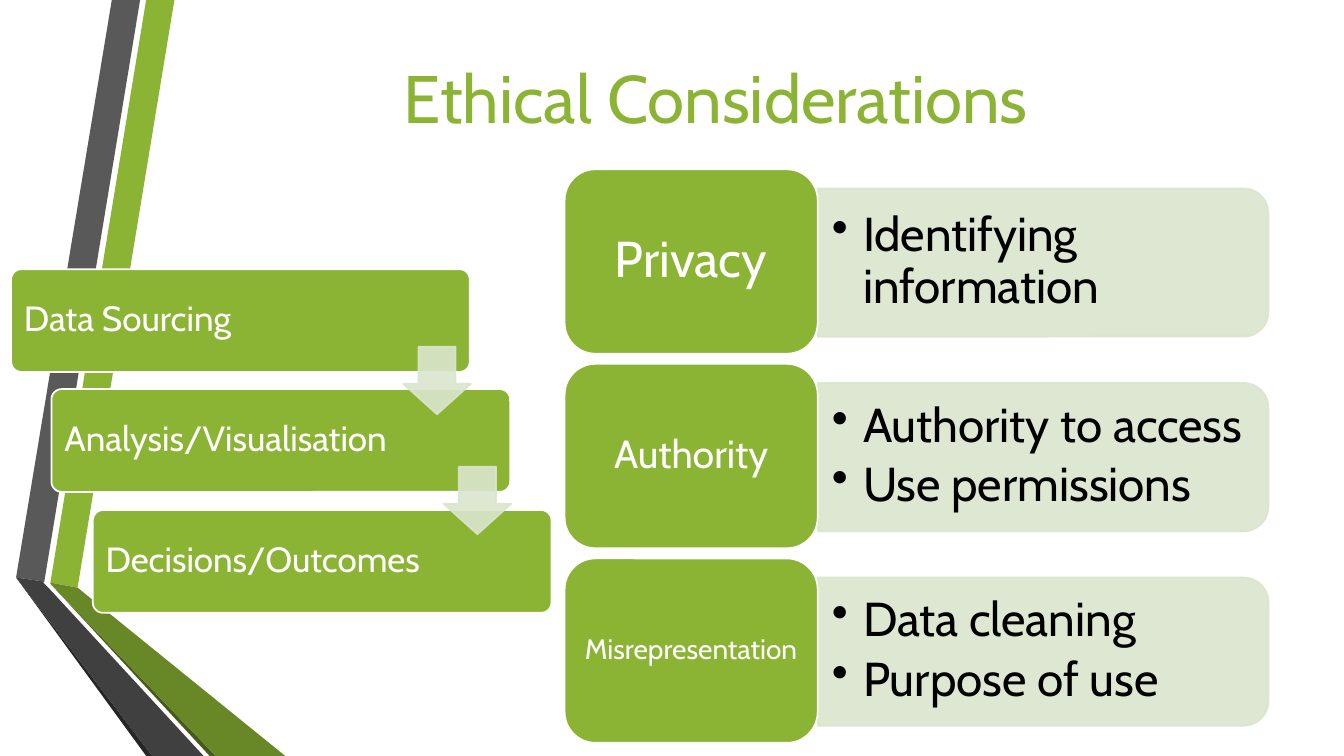
"""Build the slide "Ethical Considerations" with its process steps and topics."""
from dataclasses import dataclass

from lxml.etree import SubElement
from pptx import Presentation
from pptx.dml.color import RGBColor
from pptx.enum.shapes import MSO_SHAPE as Preset
from pptx.enum.text import MSO_ANCHOR as Anchor, PP_ALIGN as Align
from pptx.oxml.ns import qn
from pptx.shapes.autoshape import Shape
from pptx.shapes.shapetree import SlideShapes
from pptx.util import Emu, Pt

PX = 9144
FONT = "Cabin"
GREEN, PALE, WHITE, BLACK = "8BB434", "DAE5CE", "FFFFFF", "000000"


@dataclass(frozen=True)
class Box:
    """A rectangle in px."""
    left: int
    top: int
    width: int
    height: int

    def emu(self) -> tuple[Emu, ...]:
        """Return left, top, width and height in EMU."""
        return tuple(px(n) for n in (self.left, self.top, self.width, self.height))


@dataclass(frozen=True)
class Ribbon:
    """One facet of the folded ribbon at the left edge."""
    color: str
    points: tuple[tuple[int, int], ...]


@dataclass(frozen=True)
class Topic:
    """An ethical topic with its details."""
    name: str
    size: int
    inset: int
    details: tuple[str, ...]


@dataclass(frozen=True)
class TextStyle:
    """The look of a block of text."""
    size: int
    color: str
    align: Align = Align.LEFT
    inset: tuple[int, int] = (10, 5)
    spacing: float = 0.9
    bullet: bool = False


RIBBONS = (
    Ribbon(GREEN, ((50, 578), (77, 583), (173, 0), (145, 0))),
    Ribbon("595959", ((139, 0), (111, 0), (16, 573), (44, 577))),
    Ribbon("262626", ((16, 573), (145, 750), (151, 750))),
    Ribbon("465A1A", ((50, 579), (208, 750), (214, 750))),
    Ribbon("688727", ((50, 579), (214, 750), (283, 750), (77, 583), (50, 578))),
    Ribbon("404040", ((202, 750), (48, 583), (43, 578), (44, 577), (16, 573), (151, 750))),
)
STEPS = ("Data Sourcing", "Analysis/Visualisation", "Decisions/Outcomes")
TOPICS = (
    Topic("Privacy", 36, 15, ("Identifying information",)),
    Topic("Authority", 28, 12, ("Authority to access", "Use permissions")),
    Topic("Misrepresentation", 20, 8, ("Data cleaning", "Purpose of use")),
)


def px(length: int) -> Emu:
    """Turn px into EMU."""
    return Emu(length * PX)


def rgb(color: str) -> RGBColor:
    """Turn a hex string into a colour."""
    return RGBColor.from_string(color)


def paint(shape: Shape, fill: str, line: str | None = None, alpha: int = 100) -> None:
    """Set fill, outline and opacity, without a shadow."""
    shape.shadow.inherit = False
    shape.fill.solid()
    shape.fill.fore_color.rgb = rgb(fill)
    if line is None:
        shape.line.fill.background()
    else:
        shape.line.color.rgb = rgb(line)
        shape.line.width = Pt(1.25)
    if alpha < 100:
        for color in shape._element.spPr.iter(qn("a:srgbClr")):
            SubElement(color, qn("a:alpha"), val=str(alpha * 1000))


def write(shape: Shape, lines: tuple[str, ...], style: TextStyle) -> None:
    """Write one paragraph per line into the shape."""
    frame = shape.text_frame
    frame.word_wrap = True
    frame.vertical_anchor = Anchor.MIDDLE
    across, down = style.inset
    frame.margin_left = frame.margin_right = px(across)
    frame.margin_top = frame.margin_bottom = px(down)
    for index, line in enumerate(lines):
        paragraph = frame.add_paragraph() if index else frame.paragraphs[0]
        paragraph.alignment = style.align
        paragraph.line_spacing = style.spacing
        if style.bullet:
            paragraph.space_after = Pt(6)
            properties = paragraph._p.get_or_add_pPr()
            properties.set("marL", str(px(31)))
            properties.set("indent", str(px(-31)))
            SubElement(properties, qn("a:buChar"), char="•")
        run = paragraph.add_run()
        run.text = line
        run.font.name = FONT
        run.font.size = Pt(style.size)
        run.font.color.rgb = rgb(style.color)


def draw_ribbon(shapes: SlideShapes, ribbon: Ribbon) -> None:
    """Draw one facet of the ribbon."""
    start, *rest = ribbon.points
    builder = shapes.build_freeform(*start, scale=PX)
    builder.add_line_segments(rest, close=True)
    paint(builder.convert_to_shape(), ribbon.color)


def draw_step(shapes: SlideShapes, index: int, name: str) -> None:
    """Draw one step of the staircase."""
    box = Box(11 + 81 * index // 2, 267 + 239 * index // 2, 455, 102)
    step = shapes.add_shape(Preset.ROUNDED_RECTANGLE, *box.emu())
    step.adjustments[0] = 0.1
    paint(step, GREEN, WHITE)
    write(step, (name,), TextStyle(25, WHITE, inset=(10, 10)))


def draw_arrow(shapes: SlideShapes, index: int) -> None:
    """Draw the arrow that leads to the next step."""
    box = Box(400 + 81 * index // 2, 344 + 239 * index // 2, 67, 67)
    arrow = shapes.add_shape(Preset.DOWN_ARROW, *box.emu())
    arrow.adjustments[0], arrow.adjustments[1] = 0.55, 0.45
    paint(arrow, PALE, PALE, alpha=90)


def draw_topic(shapes: SlideShapes, index: int, topic: Topic) -> None:
    """Draw a topic tile with its panel of details."""
    top = 168 + 193 * index
    panel_box = Box(961, top - 131, 147, 447)
    panel = shapes.add_shape(Preset.ROUND_2_SAME_RECTANGLE, *panel_box.emu())
    panel.rotation = 90
    paint(panel, PALE, PALE, alpha=90)
    details = shapes.add_textbox(*Box(811, top + 26, 440, 132).emu())
    write(details, topic.details, TextStyle(34, BLACK, inset=(14, 7), bullet=True))
    tile = shapes.add_shape(Preset.ROUNDED_RECTANGLE, *Box(560, top, 251, 183).emu())
    paint(tile, GREEN, WHITE)
    inset = (topic.inset, topic.inset // 2)
    write(tile, (topic.name,), TextStyle(topic.size, WHITE, Align.CENTER, inset))


def main() -> None:
    """Build and save the slide."""
    deck = Presentation()
    deck.slide_width, deck.slide_height = px(1333), px(750)
    shapes = deck.slides.add_slide(deck.slide_layouts[6]).shapes
    for ribbon in RIBBONS:
        draw_ribbon(shapes, ribbon)
    title = shapes.add_textbox(*Box(162, 0, 1096, 192).emu())
    write(title, ("Ethical Considerations",), TextStyle(48, GREEN, Align.CENTER, spacing=1.0))
    for index, name in enumerate(STEPS):
        draw_step(shapes, index, name)
    for index in range(len(STEPS) - 1):
        draw_arrow(shapes, index)
    for index, topic in enumerate(TOPICS):
        draw_topic(shapes, index, topic)
    deck.save("out.pptx")


if __name__ == "__main__":
    main()
